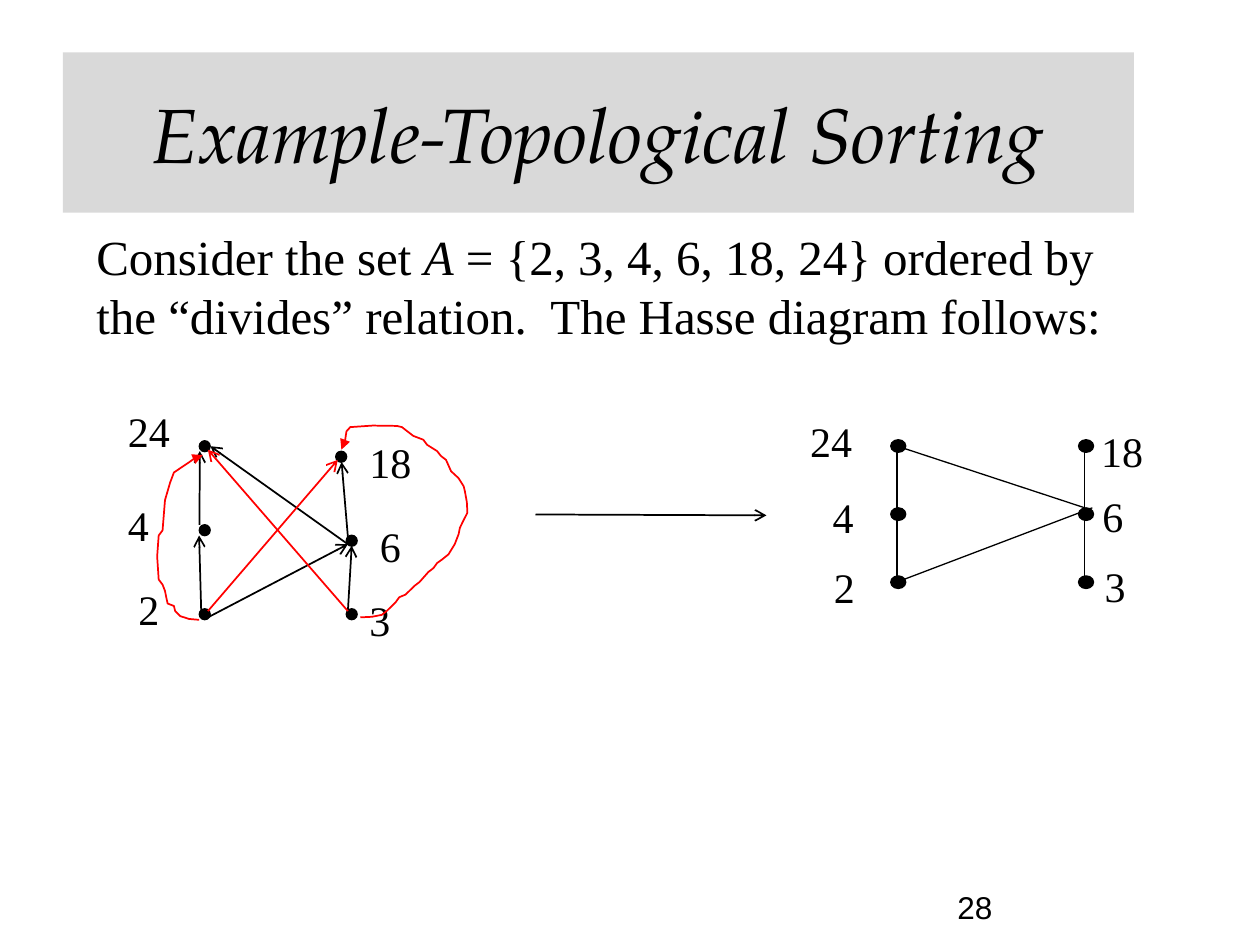
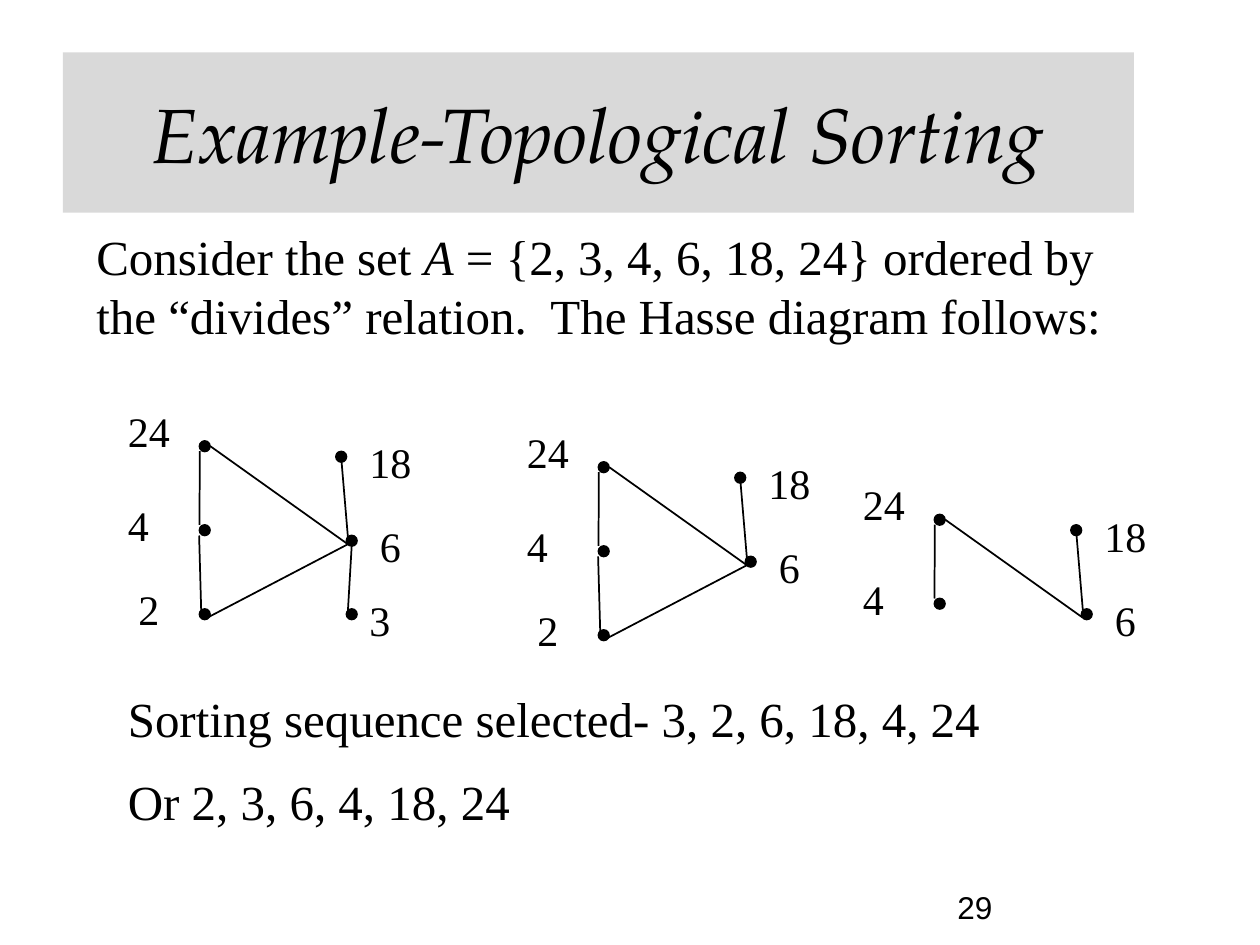
import pptx
import pptx.util
import pptx.dml.color
import pptx.enum.shapes
import pptx.enum.text
import pptx.oxml
import pptx.oxml.ns

Pt = pptx.util.Pt
BLACK = pptx.dml.color.RGBColor(0x00, 0x00, 0x00)
RED = pptx.dml.color.RGBColor(0xFF, 0x00, 0x00)
BAND_GRAY = pptx.dml.color.RGBColor(0xD9, 0xD9, 0xD9)
CENTER = pptx.enum.text.PP_ALIGN.CENTER

TITLE_FORMAT = {"name": "TeX Gyre Pagella", "size": Pt(44), "italic": True}
BODY_FORMAT = {"name": "Times New Roman", "size": Pt(28)}
LABEL_FORMAT = {"name": "Times New Roman", "size": Pt(24)}
NUMBER_FORMAT = {"name": "Arial", "size": Pt(18)}

TITLE = "Example-Topological Sorting"
INTRODUCTION = [("Consider the set ", False), ("A", True),
                (" = {2, 3, 4, 6, 18, 24} ordered by the “divides” relation.  "
                 "The Hasse diagram follows:", False)]
ANSWERS = ["Sorting sequence selected- 3, 2, 6, 18, 4, 24",
           "Or 2, 3, 6, 4, 18, 24"]

# Divides graph: top left of each dot and of its label
DOTS = {24: (114, 252), 4: (114, 300), 2: (114, 348),
        18: (192, 258), 6: (198, 306), 3: (198, 348)}
LABELS = {24: (66, 228), 4: (66, 282), 2: (72, 330),
          18: (204, 246), 6: (210, 294), 3: (204, 336)}
EDGES = {(4, 24): (114, 300, 114.2, 257.8),
         (2, 4): (115, 349.2, 113.8, 306),
         (2, 6): (118.8, 352.8, 198.8, 311),
         (3, 6): (198.8, 349.2, 201, 311.8),
         (6, 18): (198.8, 306.8, 195.2, 264),
         (6, 24): (198.8, 311, 120.2, 255)}
TRANSITIVE_EDGES = [(198.8, 349.2, 118.8, 257), (118.8, 349.2, 193, 262.8)]

# Curved arrows that run around the outside: 2 to 24 and 3 to 18
CURVE_2_TO_24 = [
    (113.8, 354.2), (108, 353.7), (103, 352.1), (100.1, 349.2), (99.4, 346.3),
    (95.8, 344.9), (95, 341.3), (94.3, 337.7), (92.9, 334.1), (90.7, 331.2),
    (89.8, 318), (90.7, 306), (92.9, 303.1), (94.3, 285.8), (97.2, 275.8),
    (99.4, 270), (108, 264.2), (110.9, 262.1), (114.5, 261.6), (115.9, 260)]
CURVE_3_TO_18 = [
    (205.9, 352.8), (212.5, 352.5), (218.2, 351.4), (221, 349.2), (226.1, 344.2),
    (228.2, 341.3), (231.8, 339.8), (236.9, 334.8), (239.8, 332.6),
    (244.8, 326.9), (247.7, 324.7), (249.8, 321.8), (252.7, 319.7),
    (256.3, 316.8), (259.9, 311), (262.1, 305.3), (262.8, 301.7),
    (264.2, 298.8), (267.1, 293), (266.8, 287), (265.7, 280.8), (265, 277.9),
    (262, 273.2), (257.8, 269.3), (254.9, 262.8), (252, 260.6),
    (249.8, 257.8), (244.1, 254.2), (241.9, 251.3), (236.2, 249.1),
    (229.7, 244.1), (226.8, 243.4), (213, 243.2), (200.2, 244.1),
    (198, 246.5), (197.3, 251.3), (195.1, 257)]

# Hasse diagram on the right of the first slide
HASSE_LEFT, HASSE_TOP, HASSE_COLUMN_GAP, HASSE_ROW_GAP = 509, 251.3, 107.3, 38.9
HASSE_LABELS = {24: (455.8, 234), 4: (468.7, 277.2), 2: (469.4, 317.5),
                18: (622.1, 239.8), 6: (622.8, 276.5), 3: (624.2, 316.8)}
HASSE_EDGES = [(512.6, 252.7, 512.6, 330.5), (619.9, 254.9, 619.9, 332.6),
               (512.6, 254.9, 619.9, 290.2), (512.6, 332.6, 624.2, 290.2)]


class Deck:
    """Holds the shared style and the current slide."""

    def __init__(self):
        self.presentation = pptx.Presentation()
        self.presentation.slide_width = Pt(720)
        self.presentation.slide_height = Pt(540)
        self.slide = None

    def start_slide(self, number):
        layout = self.presentation.slide_layouts[6]
        self.slide = self.presentation.slides.add_slide(layout)
        self.text([[(str(number), False)]], 540, 504, 126, 36, NUMBER_FORMAT)
        band = self.shape(pptx.enum.shapes.MSO_SHAPE.RECTANGLE,
                          36, 30, 612, 91.5, BAND_GRAY)
        band.text_frame.vertical_anchor = pptx.enum.text.MSO_ANCHOR.MIDDLE
        paragraph = band.text_frame.paragraphs[0]
        paragraph.alignment = CENTER
        self.run(paragraph, TITLE, TITLE_FORMAT)
        self.text([INTRODUCTION], 48, 126, 606, 108, BODY_FORMAT)

    def run(self, paragraph, text, values):
        run = paragraph.add_run()
        run.text = text
        for name, value in values.items():
            setattr(run.font, name, value)
        run.font.color.rgb = BLACK

    def text(self, paragraphs, left, top, width, height, values):
        box = self.slide.shapes.add_textbox(Pt(left), Pt(top), Pt(width), Pt(height))
        frame = box.text_frame
        frame.word_wrap = True
        for index, runs in enumerate(paragraphs):
            paragraph = frame.add_paragraph() if index else frame.paragraphs[0]
            if index:
                paragraph.space_before = values["size"] // 2
            for text, italic in runs:
                self.run(paragraph, text, {**values, "italic": italic})

    def label(self, number, left, top):
        self.text([[(str(number), False)]], left, top, 48, 36, LABEL_FORMAT)

    def shape(self, kind, left, top, width, height, color, line_width=None):
        shape = self.slide.shapes.add_shape(kind, Pt(left), Pt(top), Pt(width), Pt(height))
        shape.shadow.inherit = False
        shape.fill.solid()
        shape.fill.fore_color.rgb = color
        if line_width:
            self.outline(shape, color, line_width)
        else:
            shape.line.fill.background()
        return shape

    def dot(self, left, top, width=6, height=6, line_width=1):
        self.shape(pptx.enum.shapes.MSO_SHAPE.OVAL, left, top, width, height,
                   BLACK, line_width)

    def outline(self, shape, color, width, arrowhead=None):
        shape.line.color.rgb = color
        shape.line.width = Pt(width)
        if arrowhead:
            tail = pptx.oxml.parse_xml(
                f'<a:tailEnd {pptx.oxml.ns.nsdecls("a")} type="{arrowhead}"/>')
            shape.line._get_or_add_ln().append(tail)

    def line(self, points, color=BLACK, width=1, arrowhead=None):
        connector = self.slide.shapes.add_connector(
            pptx.enum.shapes.MSO_CONNECTOR.STRAIGHT, *[Pt(value) for value in points])
        self.outline(connector, color, width, arrowhead)
        connector._element.spPr.append(pptx.oxml.parse_xml(
            f'<a:effectLst {pptx.oxml.ns.nsdecls("a")}/>'))

    def curve(self, points):
        points = [(Pt(x), Pt(y)) for x, y in points]
        builder = self.slide.shapes.build_freeform(*points[0])
        builder.add_line_segments(points[1:], close=False)
        shape = builder.convert_to_shape()
        shape.shadow.inherit = False
        shape.fill.background()
        self.outline(shape, RED, 1, "triangle")

    def graph(self, numbers, shift_x=0, shift_y=0, arrowhead=None):
        for (start, end), (x1, y1, x2, y2) in EDGES.items():
            if start in numbers and end in numbers:
                self.line((x1 + shift_x, y1 + shift_y, x2 + shift_x, y2 + shift_y),
                          arrowhead=arrowhead)
        for number in numbers:
            self.dot(DOTS[number][0] + shift_x, DOTS[number][1] + shift_y)
            self.label(number, LABELS[number][0] + shift_x, LABELS[number][1] + shift_y)

    def hasse_diagram(self):
        for column in range(2):
            for row in range(3):
                self.dot(HASSE_LEFT + column * HASSE_COLUMN_GAP,
                         HASSE_TOP + row * HASSE_ROW_GAP, 8.6, 7.2, 0.75)
        for points in HASSE_EDGES:
            self.line(points, width=0.75)
        for number, (left, top) in HASSE_LABELS.items():
            self.label(number, left, top)


def main():
    deck = Deck()

    # Slide 28: full relation reduced to its Hasse diagram
    deck.start_slide(28)
    deck.hasse_diagram()
    deck.graph([24, 4, 2, 18, 6, 3], arrowhead="arrow")
    for points in TRANSITIVE_EDGES:
        deck.line(points, RED, arrowhead="arrow")
    deck.curve(CURVE_2_TO_24)
    deck.curve(CURVE_3_TO_18)
    deck.line((306, 294, 438, 294.5), arrowhead="arrow")

    # Slide 29: minimal elements removed one by one
    deck.start_slide(29)
    deck.graph([24, 4, 2, 18, 6, 3])
    deck.graph([24, 4, 2, 18, 6], 228, 12)
    deck.graph([24, 4, 18, 6], 420, 42)
    deck.text([[(answer, False)] for answer in ANSWERS], 66, 390, 620, 92, BODY_FORMAT)

    deck.presentation.save("out.pptx")


if __name__ == "__main__":
    main()
